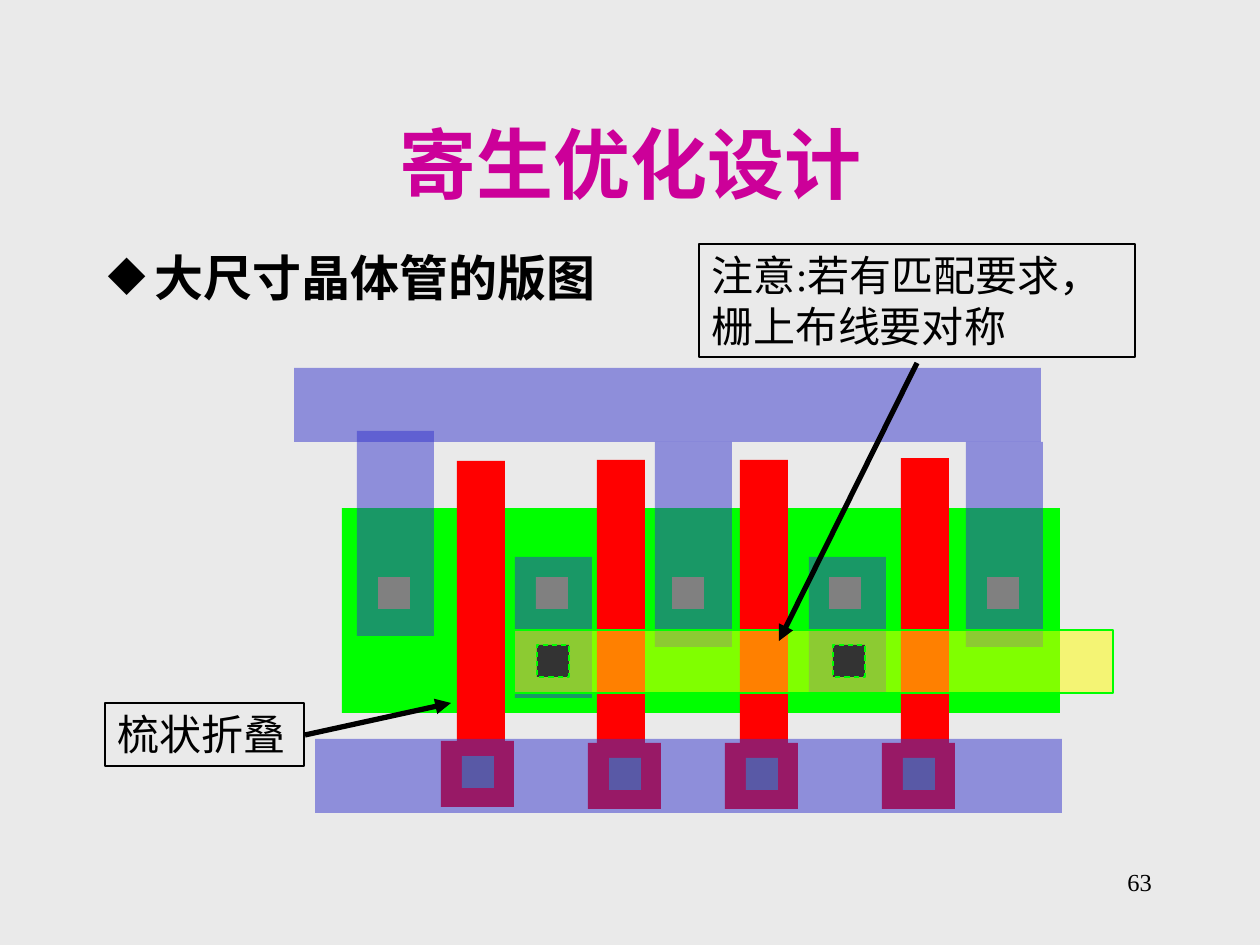
from lxml.etree import SubElement
from pptx import Presentation
from pptx.dml.color import RGBColor
from pptx.enum.dml import MSO_LINE_DASH_STYLE as Dash
from pptx.enum.shapes import MSO_CONNECTOR as Connector, MSO_SHAPE as Shape
from pptx.enum.text import MSO_ANCHOR as Anchor, MSO_AUTO_SIZE as AutoSize, PP_ALIGN as Align
from pptx.oxml.ns import qn
from pptx.util import Emu, Pt

EMU_PER_PX = 914400 / 126
RED, GREEN, BLUE, YELLOW = "FF0000", "00FF00", "3333CC", "FFFF00"
BLACK, GREY, CHARCOAL = "000000", "808080", "333333"
CUT = 32


def px(value):
    return Emu(round(value * EMU_PER_PX))


def colour(value):
    return RGBColor.from_string(value)


class LayoutSlide:
    font = "Times New Roman"

    def __init__(self, deck, background):
        self.slide = deck.slides.add_slide(deck.slide_layouts[5])
        fill = self.slide.background.fill
        fill.solid()
        fill.fore_color.rgb = colour(background)

    def set_text(self, frame, text, size, ink=BLACK, bold=False, align=Align.LEFT, bullet=None):
        frame.word_wrap = True
        frame.margin_left = frame.margin_right = px(13)
        frame.margin_top = frame.margin_bottom = px(6)
        frame.text = text
        paragraph = frame.paragraphs[0]
        paragraph.alignment = align
        if bullet:
            properties = paragraph._p.get_or_add_pPr()
            properties.set("marL", str(px(47)))
            properties.set("indent", str(-px(47)))
            SubElement(properties, qn("a:buChar"), char=bullet)
        font = paragraph.runs[0].font
        font.name, font.size, font.bold = self.font, Pt(size), bold
        font.color.rgb = colour(ink)

    def title(self, box, text, size, ink):
        heading = self.slide.shapes.title
        heading.left, heading.top, heading.width, heading.height = map(px, box)
        heading.text_frame.vertical_anchor = Anchor.MIDDLE
        self.set_text(heading.text_frame, text, size, ink, True, Align.CENTER)

    def text(self, box, text, size, **style):
        frame = self.slide.shapes.add_textbox(*map(px, box)).text_frame
        self.set_text(frame, text, size, **style)

    def rect(self, box, fill=None, alpha=None, line=None, dash=None):
        area = self.slide.shapes.add_shape(Shape.RECTANGLE, *map(px, box))
        area.shadow.inherit = False
        if fill:
            area.fill.solid()
            area.fill.fore_color.rgb = colour(fill)
        else:
            area.fill.background()
        if alpha:
            tint = area._element.spPr.find(qn("a:solidFill"))[0]
            SubElement(tint, qn("a:alpha"), val=str(alpha * 1000))
        if line:
            area.line.color.rgb = colour(line)
            area.line.width = Pt(0.75)
            if dash:
                area.line.dash_style = dash
        else:
            area.line.fill.background()
        return area

    def metal(self, box):
        self.rect(box, BLUE, alpha=50)

    def contact(self, left, top):
        self.rect((left, top, CUT, CUT), GREY)

    def label(self, box, text):
        frame = self.rect(box, line=BLACK).text_frame
        frame.vertical_anchor = Anchor.TOP
        self.set_text(frame, text, 24)
        frame.auto_size = AutoSize.SHAPE_TO_FIT_TEXT

    def arrow(self, start, end):
        pointer = self.slide.shapes.add_connector(Connector.STRAIGHT, *map(px, start + end))
        pointer.line.color.rgb = colour(BLACK)
        pointer.line.width = Pt(3)
        outline = pointer._element.spPr.find(qn("a:ln"))
        SubElement(outline, qn("a:tailEnd"), type="triangle")
        SubElement(pointer._element.spPr, qn("a:effectLst"))


def main():
    deck = Presentation()
    deck.slide_width, deck.slide_height = px(1260), px(945)
    page = LayoutSlide(deck, "EAEAEA")

    page.title((95, 84, 1071, 158), "寄生优化设计", 44, "CC0099")
    page.text((95, 242, 1071, 105), "大尺寸晶体管的版图", 28, bold=True, bullet="◆")
    page.text((903, 861, 262, 63), "63", 14, align=Align.RIGHT)

    page.rect((342, 508, 718, 205), GREEN)
    for left, top in ((457, 461), (597, 460), (740, 460), (901, 458)):
        page.rect((left, top, 48, 307), RED)

    page.metal((294, 368, 747, 74))
    for left, top in ((357, 431), (655, 442), (966, 442)):
        page.metal((left, top, 77, 205))
    for left, height in ((515, 141), (809, 136)):
        page.metal((left, 557, 77, height))

    page.rect((514, 630, 599, 63), YELLOW, alpha=50, line=GREEN)
    for left in (537, 833):
        page.rect((left, 645, CUT, CUT), CHARCOAL, line=GREEN, dash=Dash.DASH)
    for left in (378, 536, 672, 829, 987):
        page.contact(left, 577)

    for left, top in ((441, 741), (588, 743), (725, 743), (882, 743)):
        page.rect((left, top, 73, 66), RED)
        page.contact(left + 21, top + 15)
    page.metal((315, 739, 747, 74))

    page.label((105, 703, 199, 63), "梳状折叠")
    page.arrow((305, 735), (451, 703))
    page.label((699, 244, 436, 113), "注意:若有匹配要求，栅上布线要对称")
    page.arrow((917, 363), (779, 641))

    deck.save("out.pptx")


if __name__ == "__main__":
    main()
